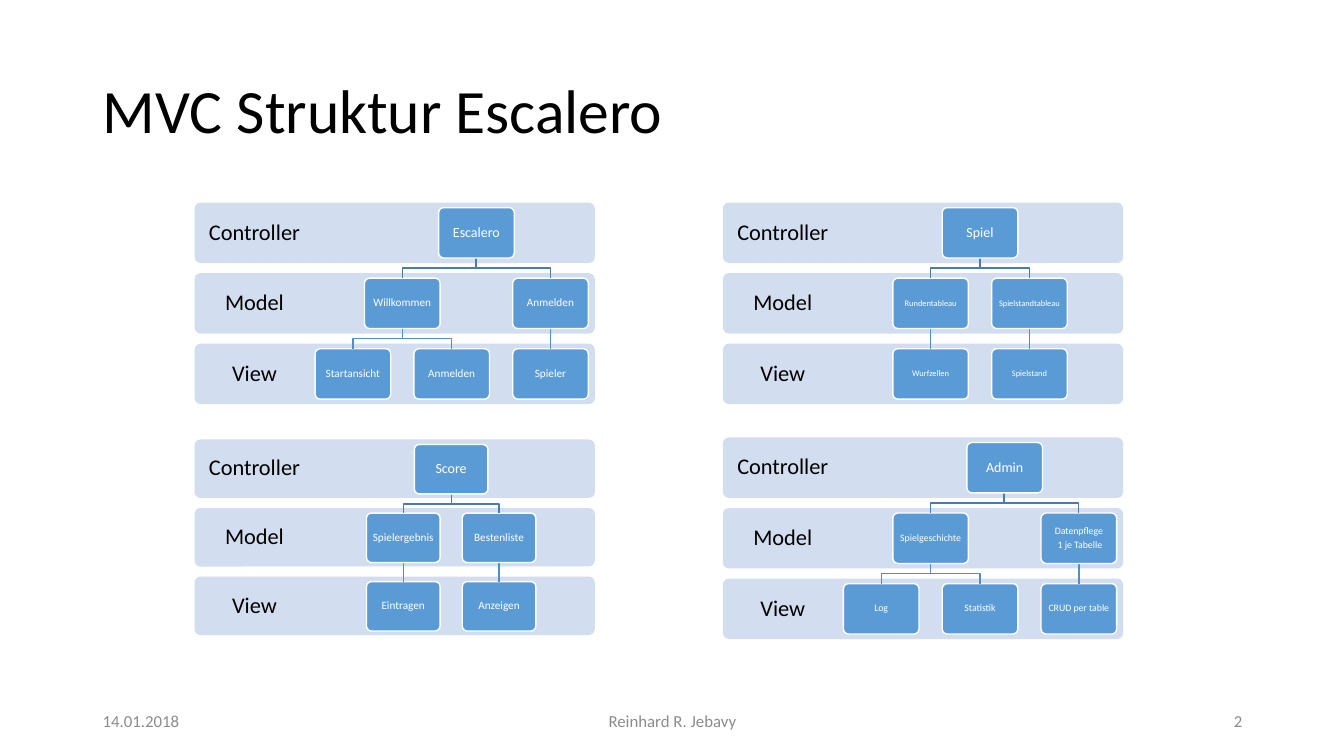
from dataclasses import dataclass

from lxml import etree
from pptx import Presentation
from pptx import util as u
from pptx.dml.color import RGBColor
from pptx.enum import shapes, text
from pptx.oxml.ns import qn

PX = 9144  # EMU per px, 100 px to the inch


def px(length):
    return u.Emu(round(length * PX))


@dataclass(frozen=True)
class Theme:
    font: str = "Calibri"
    ink: str = "000000"
    muted: str = "8C8C8C"
    band: str = "D2DEEF"
    box: str = "5B9BD5"
    on_box: str = "FFFFFF"
    links: tuple = ("497CAB", "538DC1")
    title_size: int = 44
    label_size: int = 16
    root_size: int = 10
    footer_size: int = 12
    line_width: int = 1


@dataclass(frozen=True)
class Node:
    name: str
    children: tuple = ()


@dataclass(frozen=True)
class Diagram:
    left: int
    top: int
    first_leaf: int  # centre of the leftmost leaf
    child_size: int
    root: Node
    row_pitch: int = 70
    row_height: int = 60
    leaf_pitch: int = 98
    box_width: int = 75
    box_height: int = 50


BAND_WIDTH, LABEL_WIDTH, BOX_OFFSET = 397, 119, 5
LAYERS = ("Controller", "Model", "View")

DIAGRAMS = (
    Diagram(193, 201, 350, 8, Node("Escalero", (
        Node("Willkommen", (Node("Startansicht"), Node("Anmelden"))),
        Node("Anmelden", (Node("Spieler"),))))),
    Diagram(717, 201, 923, 6, Node("Spiel", (
        Node("Rundentableau", (Node("Wurfzellen"),)),
        Node("Spielstandtableau", (Node("Spielstand"),))))),
    Diagram(193, 436, 400, 8, Node("Score", (
        Node("Spielergebnis", (Node("Eintragen"),)),
        Node("Bestenliste", (Node("Anzeigen"),)))),
        row_pitch=68, row_height=58, leaf_pitch=95, box_width=73, box_height=49),
    Diagram(717, 434, 874, 7, Node("Admin", (
        Node("Spielgeschichte", (Node("Log"), Node("Statistik"))),
        Node("Datenpflege\n 1 je Tabelle", (Node("CRUD per table"),))))),
)


class SlideBuilder:
    def __init__(self, slide, theme):
        self.slide = slide
        self.theme = theme
        self.shapes = slide.shapes

    def set_text(self, frame, content, size, color, align, spacing=0.9):
        frame.text = content
        frame.word_wrap = True
        frame.vertical_anchor = text.MSO_ANCHOR.MIDDLE
        for paragraph in frame.paragraphs:
            paragraph.alignment = align
            paragraph.line_spacing = spacing
            paragraph.space_after = u.Pt(round(size * 0.35, 2))
            for run in paragraph.runs:
                run.font.name = self.theme.font
                run.font.size = u.Pt(size)
                run.font.color.rgb = RGBColor.from_string(color)

    def title(self, content, left, top, width, height):
        title = self.slide.shapes.title
        title.left, title.top, title.width, title.height = map(px, (left, top, width, height))
        self.set_text(title.text_frame, content, self.theme.title_size,
                      self.theme.ink, text.PP_ALIGN.LEFT)

    def footer(self, content, left, width, align):
        box = self.slide.shapes.add_textbox(px(left), px(695), px(width), px(40))
        self.set_text(box.text_frame, content, self.theme.footer_size,
                      self.theme.muted, align, spacing=1.0)

    def rounded(self, left, top, width, height, fill, margin):
        shape = self.shapes.add_shape(shapes.MSO_SHAPE.ROUNDED_RECTANGLE,
                                      px(left), px(top), px(width), px(height))
        shape.adjustments[0] = 0.1
        shape.shadow.inherit = False
        shape.fill.solid()
        shape.fill.fore_color.rgb = RGBColor.from_string(fill)
        frame = shape.text_frame
        frame.margin_left = frame.margin_right = px(margin)
        frame.margin_top = frame.margin_bottom = px(margin)
        return shape

    def band(self, label, left, top, height):
        margin = 10
        band = self.rounded(left, top, BAND_WIDTH, height, self.theme.band, margin)
        band.line.fill.background()
        band.text_frame.margin_right = px(BAND_WIDTH - LABEL_WIDTH + margin)
        self.set_text(band.text_frame, label, self.theme.label_size,
                      self.theme.ink, text.PP_ALIGN.CENTER)

    def box(self, name, center, top, width, height, size):
        box = self.rounded(center - width / 2, top, width, height, self.theme.box, 3)
        self.stroke(box.line, self.theme.on_box)
        self.set_text(box.text_frame, name, size, self.theme.on_box, text.PP_ALIGN.CENTER)

    def stroke(self, line, color):
        line.color.rgb = RGBColor.from_string(color)
        line.width = u.Pt(self.theme.line_width)

    def link(self, start, end, color):
        """Join two points downwards, with a step halfway if they are not in line."""
        (x1, y1), (x2, y2) = start, end
        if x1 == x2:
            line = self.shapes.add_connector(shapes.MSO_CONNECTOR.STRAIGHT,
                                             px(x1), px(y1), px(x2), px(y2))
            etree.SubElement(line._element.spPr, qn("a:effectLst"))
        else:
            middle = (y1 + y2) / 2
            builder = self.shapes.build_freeform(x1, y1, scale=PX)
            builder.add_line_segments([(x1, middle), (x2, middle), end], close=False)
            line = builder.convert_to_shape()
            line.fill.background()
            line.shadow.inherit = False
        self.stroke(line.line, color)

    def tree(self, diagram, node, level, leaf_centers):
        """Draw a node above its children and return its centre."""
        top = diagram.top + level * diagram.row_pitch + BOX_OFFSET
        if node.children:
            centers = [self.tree(diagram, child, level + 1, leaf_centers)
                       for child in node.children]
            center = (centers[0] + centers[-1]) / 2
            for child_center in centers:
                self.link((center, top + diagram.box_height),
                          (child_center, top + diagram.row_pitch),
                          self.theme.links[level])
        else:
            center = next(leaf_centers)
        size = diagram.child_size if level else self.theme.root_size
        self.box(node.name, center, top, diagram.box_width, diagram.box_height, size)
        return center

    def diagram(self, diagram):
        self.shapes = self.slide.shapes.add_group_shape().shapes
        for row, layer in enumerate(LAYERS):
            self.band(layer, diagram.left, diagram.top + row * diagram.row_pitch,
                      diagram.row_height)
        leaf_centers = iter(range(diagram.first_leaf, diagram.left + BAND_WIDTH,
                                  diagram.leaf_pitch))
        self.tree(diagram, diagram.root, 0, leaf_centers)


def main():
    presentation = Presentation()
    presentation.slide_width, presentation.slide_height = px(1333), px(750)
    title_only = presentation.slide_layouts[5]
    builder = SlideBuilder(presentation.slides.add_slide(title_only), Theme())
    builder.title("MVC Struktur Escalero", 92, 40, 1150, 145)
    for diagram in DIAGRAMS:
        builder.diagram(diagram)
    builder.footer("14.01.2018", 92, 300, text.PP_ALIGN.LEFT)
    builder.footer("Reinhard R. Jebavy", 442, 450, text.PP_ALIGN.CENTER)
    builder.footer("2", 942, 300, text.PP_ALIGN.RIGHT)
    presentation.save("out.pptx")


if __name__ == "__main__":
    main()
